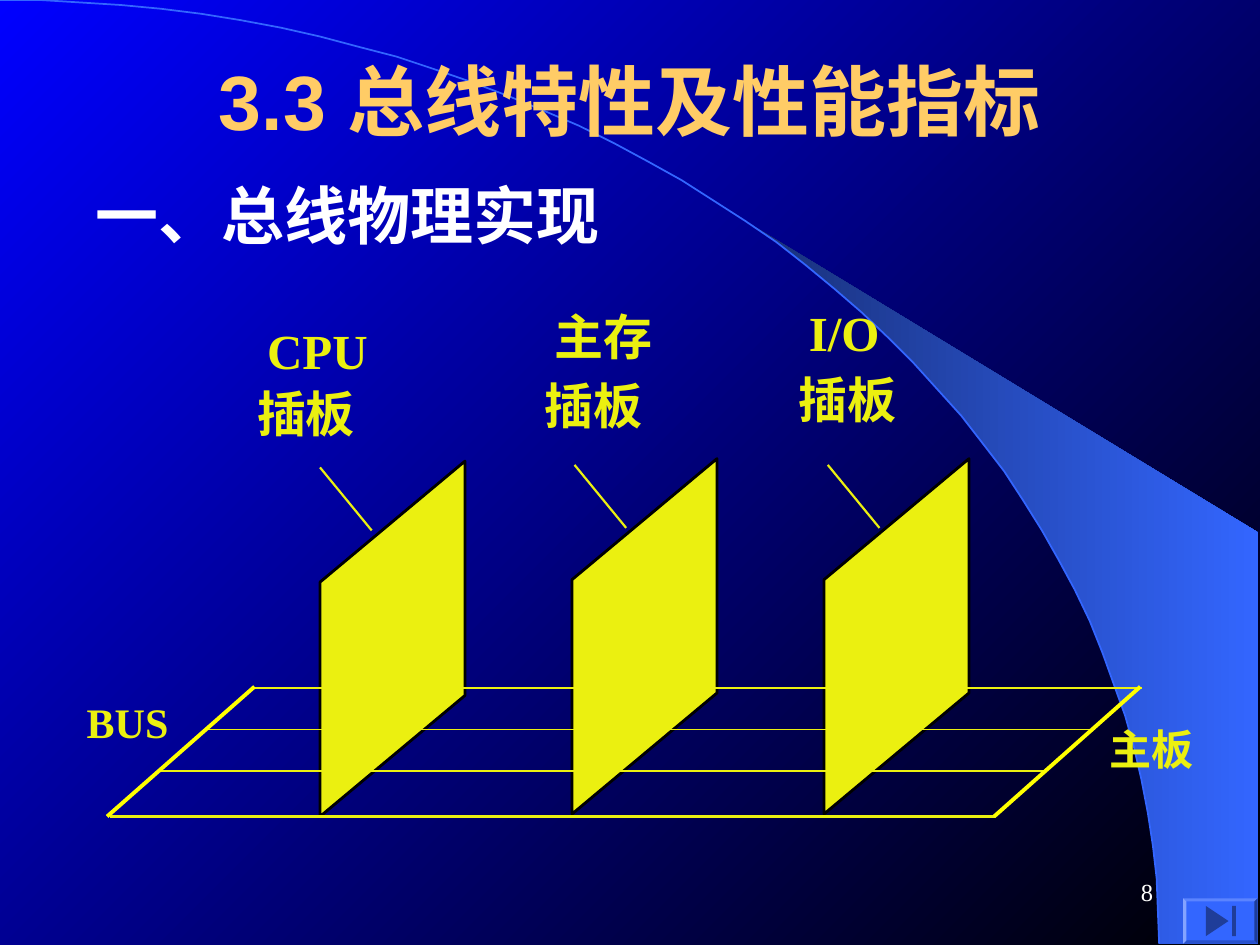
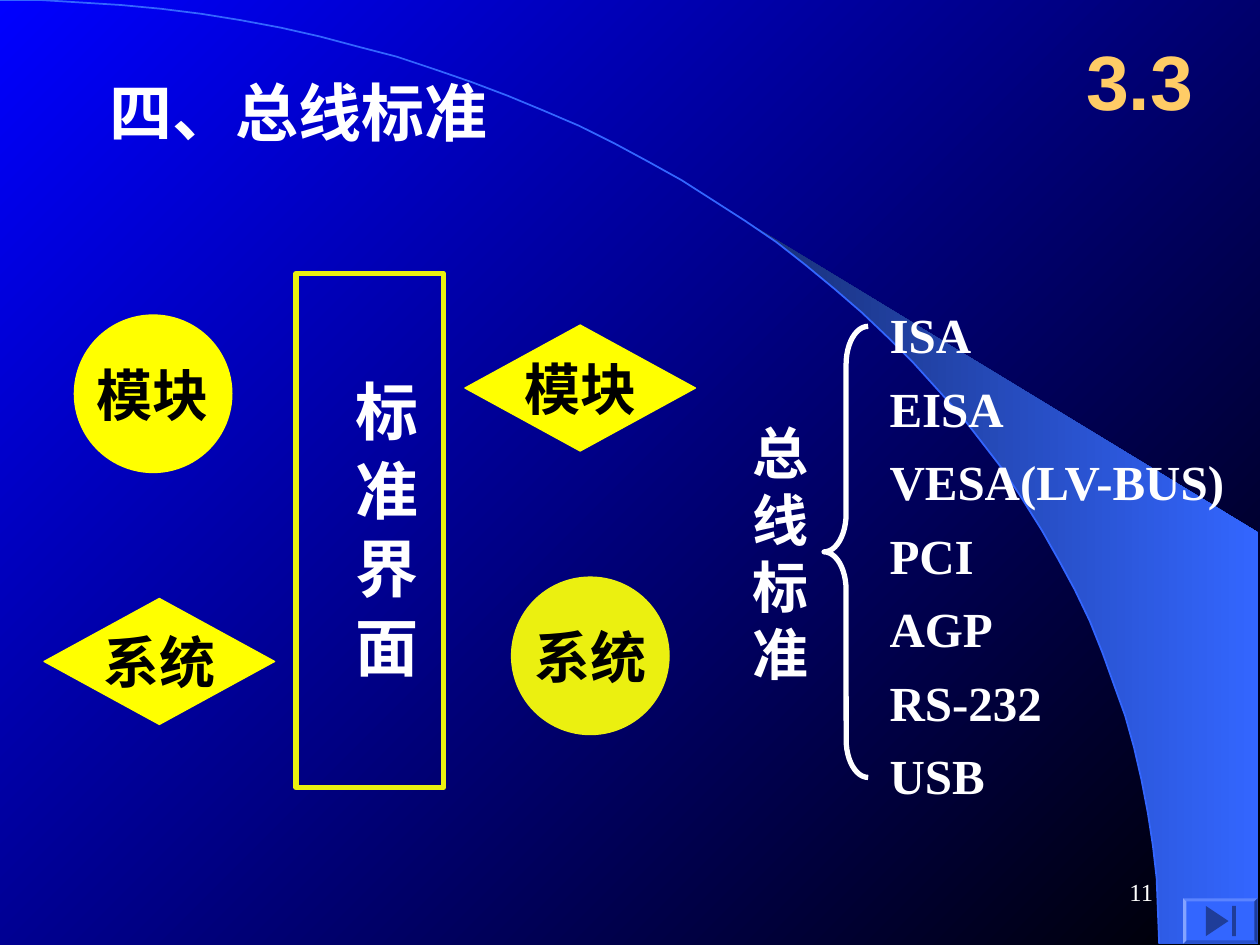
"""Build two slides on bus boards and bus standards."""
from math import cos, radians, sin

from lxml import etree
from pptx import Presentation
from pptx.dml.color import RGBColor
from pptx.enum.shapes import MSO_CONNECTOR, MSO_SHAPE
from pptx.enum.text import MSO_ANCHOR, MSO_AUTO_SIZE, PP_ALIGN
from pptx.oxml.ns import qn
from pptx.util import Pt

PX = 9144
BLUE = RGBColor(0x00, 0x00, 0xFF)
BLACK = RGBColor(0x00, 0x00, 0x00)
WHITE = RGBColor(0xFF, 0xFF, 0xFF)
NAVY = RGBColor(0x18, 0x2F, 0x76)
SKY = RGBColor(0x33, 0x66, 0xFF)
ICON = RGBColor(0x1F, 0x3D, 0x99)
GOLD = RGBColor(0xFF, 0xCC, 0x66)
LEMON = RGBColor(0xEB, 0xF0, 0x10)
YELLOW = RGBColor(0xFF, 0xFF, 0x00)
SERIF, SANS, HAN = "Times New Roman", "Arial", "Noto Sans CJK SC"
LEFT, CENTER, RIGHT = PP_ALIGN.LEFT, PP_ALIGN.CENTER, PP_ALIGN.RIGHT
TOP, MIDDLE = MSO_ANCHOR.TOP, MSO_ANCHOR.MIDDLE
STRAIGHT = MSO_CONNECTOR.STRAIGHT
OVAL, DIAMOND = MSO_SHAPE.OVAL, MSO_SHAPE.DIAMOND


def write(shape, text, size, color, font=SERIF, bold=True, align=LEFT,
          anchor=TOP, inset=(10, 5), wrap=False, spacing=None):
    """Fill a shape's text frame and format every run."""
    frame = shape.text_frame
    frame.text = text
    frame.auto_size = MSO_AUTO_SIZE.NONE
    frame.word_wrap = wrap
    frame.vertical_anchor = anchor
    frame.margin_left = frame.margin_right = inset[0] * PX
    frame.margin_top = frame.margin_bottom = inset[1] * PX
    for para in frame.paragraphs:
        para.alignment = align
        para.space_before = Pt(0)
        para.line_spacing = spacing
        for span in para.runs:
            span.font.size = Pt(size)
            span.font.bold = bold
            span.font.color.rgb = color
            span.font.name = font
            etree.SubElement(span.font._rPr, qn("a:ea"), typeface=HAN)


def rule(page, start, end, color, width):
    """Draw a straight line without a shadow."""
    ends = [value * PX for value in (*start, *end)]
    line = page.shapes.add_connector(STRAIGHT, *ends)
    line.line.color.rgb = color
    line.line.width = Pt(width)
    etree.SubElement(line.element.spPr, qn("a:effectLst"))


deck = Presentation()
deck.slide_width, deck.slide_height = 1000 * PX, 750 * PX
master = deck.slide_master
sky_fill = master.background.fill
sky_fill.gradient()
sky_fill.gradient_angle = 315
sky_fill.gradient_stops[0].color.rgb = BLUE
sky_fill.gradient_stops[1].color.rgb = BLACK

boards_page = deck.slides.add_slide(deck.slide_layouts[5])
standards_page = deck.slides.add_slide(deck.slide_layouts[1])

arc = [(round(920 * sin(radians(angle))), round(749 * (1 - cos(radians(angle)))))
       for angle in range(0, 91, 2)]
builder = boards_page.shapes.build_freeform(*arc[20], scale=PX)
builder.add_line_segments(arc[21:] + [(999, 749), (999, 423)], close=True)
beam = builder.convert_to_shape()
beam.fill.gradient()
beam.fill.gradient_angle = 0
beam.fill.gradient_stops[0].color.rgb = NAVY
beam.fill.gradient_stops[1].color.rgb = SKY
beam.line.fill.background()

builder = boards_page.shapes.build_freeform(*arc[0], scale=PX)
builder.add_line_segments(arc[1:], close=False)
horizon = builder.convert_to_shape()
horizon.fill.background()
horizon.line.color.rgb = SKY
horizon.line.width = Pt(1)

backdrop = [beam, horizon]
for kind, box, color in (
    (MSO_SHAPE.BEVEL, (939, 713, 59, 36), SKY),
    (MSO_SHAPE.ISOSCELES_TRIANGLE, (954, 722, 24, 18), ICON),
    (MSO_SHAPE.RECTANGLE, (978, 719, 3, 24), ICON),
):
    part = boards_page.shapes.add_shape(kind, *[value * PX for value in box])
    part.fill.solid()
    part.fill.fore_color.rgb = color
    part.line.fill.background()
    backdrop.append(part)
backdrop[2].adjustments[0] = 0.07
backdrop[3].rotation = 90
for number, part in enumerate(backdrop, 20):
    part.shadow.inherit = False
    part.element.nvSpPr.cNvPr.id = number
    master.shapes.element.append(part.element)

for page, number in ((boards_page, "8"), (standards_page, "11")):
    box = page.shapes.add_textbox(717 * PX, 683 * PX, 208 * PX, 50 * PX)
    write(box, number, 14, WHITE, bold=False, align=RIGHT, anchor=MIDDLE)

title = boards_page.shapes.title
title.left, title.top, title.width, title.height = 75 * PX, 17 * PX, 850 * PX, 125 * PX
write(title, "3.3 总线特性及性能指标", 44, GOLD, SANS, align=CENTER, anchor=MIDDLE, wrap=True)

for text, left, top, size, color in (
    ("一、总线物理实现", 66, 135, 36, WHITE),
    ("BUS", 59, 548, 24, LEMON),
    ("主板", 871, 569, 24, LEMON),
):
    box = boards_page.shapes.add_textbox(left * PX, top * PX, 420 * PX if size > 24 else 86 * PX, 60 * PX)
    write(box, text, size, color)

for name, name_at, card_at, left, top, pointer in (
    ("CPU", (212, 254), (204, 304), 254, 366, 254),
    ("主存", (440, 243), (432, 298), 454, 364, 456),
    ("I/O", (642, 240), (634, 293), 654, 364, 657),
):
    for text, at, font in ((name, name_at, SERIF), ("插板", card_at, HAN)):
        box = boards_page.shapes.add_textbox(at[0] * PX, at[1] * PX, 80 * PX, 47 * PX)
        write(box, text, 28, LEMON, font, inset=(0, 0))
    builder = boards_page.shapes.build_freeform(left, top + 96, scale=PX)
    builder.add_line_segments(
        [(left + 115, top), (left + 115, top + 186), (left, top + 282)], close=True)
    board = builder.convert_to_shape()
    board.fill.solid()
    board.fill.fore_color.rgb = LEMON
    board.line.color.rgb = BLACK
    board.line.width = Pt(1.62)
    board.shadow.inherit = False
    rule(boards_page, (pointer, top + 5), (pointer + 41, top + 55), LEMON, 1.25)

for row in range(3):
    height = 546 + 33 * row
    rule(boards_page, (200 - 36 * row, height), (906 - 38 * row, height), LEMON, 0.75)
rule(boards_page, (87, 648), (790, 648), LEMON, 1.62)
for upper, lower in ((202, 85), (905, 789)):
    rule(boards_page, (upper, 545), (lower, 648), YELLOW, 2.25)

title, body = standards_page.placeholders
title.left, title.top, title.width, title.height = 77 * PX, 53 * PX, 540 * PX, 70 * PX
write(title, "四、总线标准", 36, WHITE, wrap=True)
body.left, body.top, body.width, body.height = 696 * PX, 225 * PX, 300 * PX, 419 * PX
standards = ("ISA", "EISA", "VESA(LV-BUS)", "PCI", "AGP", "RS-232", "USB")
write(body, "\n".join(standards), 28, WHITE, spacing=Pt(42))
for para in body.text_frame.paragraphs:
    settings = para._p.get_or_add_pPr()
    settings.set("marL", "0")
    settings.set("indent", "0")
    etree.SubElement(settings, qn("a:buNone"))

section = standards_page.shapes.add_textbox(842 * PX, 17 * PX, 125 * PX, 92 * PX)
write(section, "3.3", 44, GOLD, SANS, align=CENTER, anchor=MIDDLE)

for kind, text, box, color in (
    (OVAL, "模块", (59, 250, 125, 125), YELLOW),
    (OVAL, "系统", (406, 458, 125, 125), LEMON),
    (DIAMOND, "系统", (35, 475, 183, 100), YELLOW),
    (DIAMOND, "模块", (369, 258, 183, 100), YELLOW),
):
    node = standards_page.shapes.add_shape(kind, *[value * PX for value in box])
    node.shadow.inherit = False
    node.fill.solid()
    node.fill.fore_color.rgb = color
    node.line.color.rgb = color
    node.line.width = Pt(0.75)
    write(node, text, 32, BLACK, align=CENTER, anchor=MIDDLE, inset=(0, 0))

for kind, box, color in (
    (MSO_SHAPE.RECTANGLE, (235, 217, 117, 408), LEMON),
    (MSO_SHAPE.LEFT_BRACE, (654, 259, 35, 358), WHITE),
):
    outline = standards_page.shapes.add_shape(kind, *[value * PX for value in box])
    outline.shadow.inherit = False
    outline.fill.background()
    outline.line.color.rgb = color
    outline.line.width = Pt(3)
outline.adjustments[0] = 0.86

interface = standards_page.shapes.add_textbox(260 * PX, 292 * PX, 80 * PX, 350 * PX)
write(interface, "标 准 界 面", 36, WHITE, align=CENTER, inset=(5, 10), wrap=True)
interface.text_frame._txBody.bodyPr.set("vert", "eaVert")

family = standards_page.shapes.add_textbox(587 * PX, 327 * PX, 59 * PX, 224 * PX)
write(family, "总\n线\n标\n准", 32, WHITE, spacing=Pt(38.4), wrap=True)

deck.save("out.pptx")
